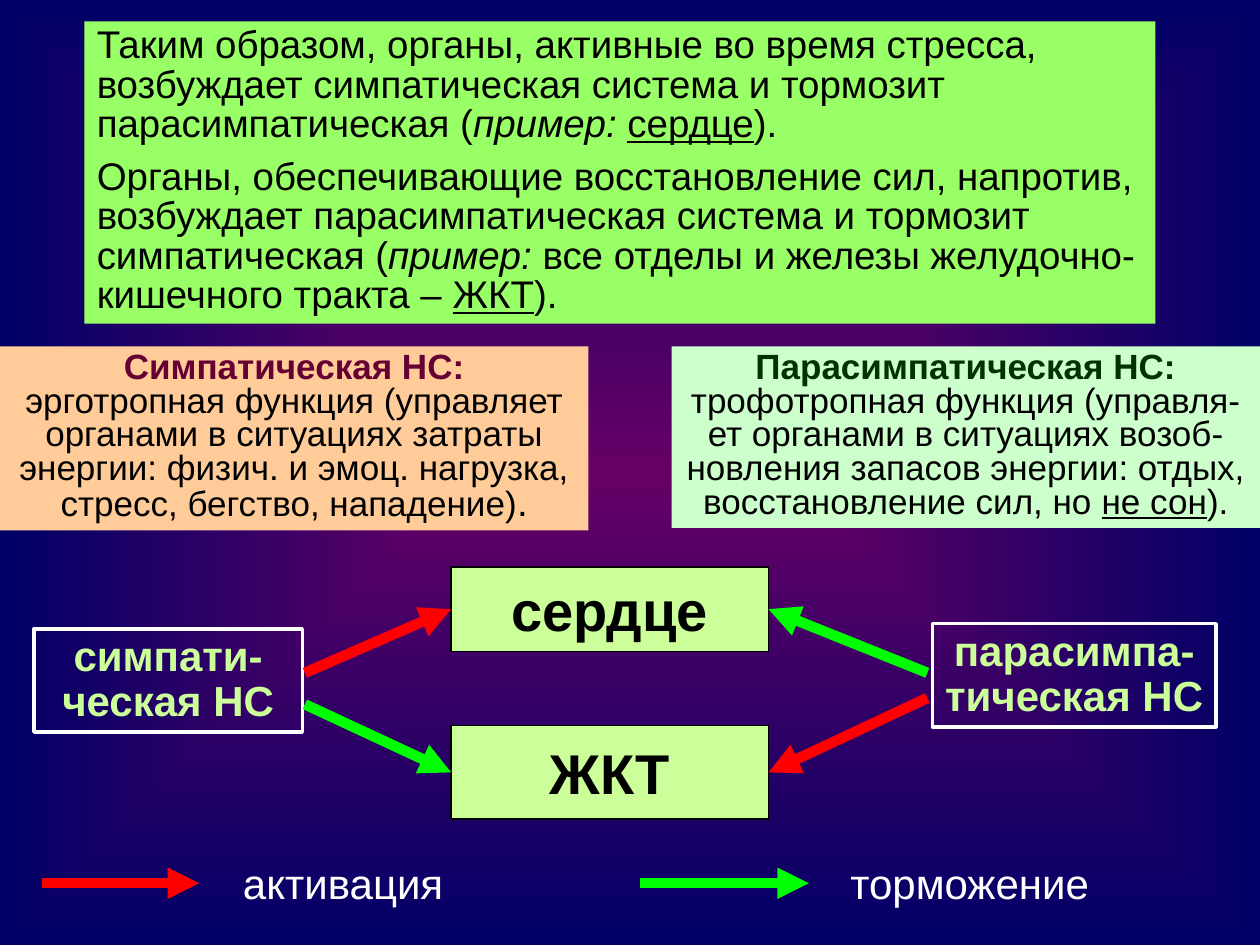
"""Build a slide on how the sympathetic and parasympathetic systems act on organs."""
import pptx
import pptx.util
import pptx.dml.color
import pptx.enum.shapes
import pptx.enum.text
import pptx.oxml
import pptx.oxml.ns
import lxml.etree

Inches, Pt = pptx.util.Inches, pptx.util.Pt
qn = pptx.oxml.ns.qn
ALIGN = pptx.enum.text.PP_ALIGN
ANCHOR = pptx.enum.text.MSO_ANCHOR

HEX = {
    "black": "000000", "white": "FFFFFF", "red": "FF0000", "green": "00FF00",
    "purple": "660066", "navy": "000066", "lime": "CCFF99", "grass": "99FF66",
    "peach": "FFCC99", "mint": "CCFFCC", "wine": "660033", "forest": "003300",
}

SUMMARY = [
    [("Таким образом, органы, активные во время стресса, возбуждает симпатическая "
      "система и тормозит парасимпатическая (", {}), ("пример: ", {"italic": True}),
     ("сердце", {"underline": True}), (").", {})],
    [("Органы, обеспечивающие восстановление сил, напротив, возбуждает "
      "парасимпатическая система и тормозит", {})],
    [("симпатическая (", {}), ("пример:", {"italic": True}),
     (" все отделы и железы желудочно-кишечного тракта – ", {}),
     ("ЖКТ", {"underline": True}), (").", {})],
]
CARDS = [
    (0, 1.46, "peach", "wine", "Cимпатическая НС:",
     [("эрготропная функция (управляет органами в ситуациях затраты энергии: "
       "физич. и эмоц. нагрузка, стресс, бегство, нападение)", {}),
      (".", {"size": Pt(22)})]),
    (5.33, 1.44, "mint", "forest", "Парасимпатическая НС:",
     [("трофотропная функция (управля-ет органами в ситуациях возоб-"
       "новления запасов энергии: отдых, восстановление сил, но ", {}),
      ("не сон", {"underline": True}), (").", {})]),
]
ORGANS = [("сердце", 4.5, 0.67), ("ЖКТ", 5.76, 0.74)]
SYSTEMS = [
    (["симпати-", "ческая НС"], 0.27, 4.99, 2.13),
    (["парасимпа-", "тическая НС"], 7.4, 4.95, 2.25),
]
EFFECTS = [
    (2.42, 5.34, "red", "сердце", 1), (2.42, 5.59, "green", "ЖКТ", 1),
    (7.36, 5.34, "green", "сердце", 3), (7.36, 5.54, "red", "ЖКТ", 3),
]
LEGEND = [("активация", "red", 0.33, 1.58, 1.83),
          ("торможение", "green", 5.08, 6.42, 6.65)]


def rgb(name):
    return pptx.dml.color.RGBColor.from_string(HEX[name])


def add_box(slide, left, top, width, height, fill=None, line=None, weight=0.75):
    box = slide.shapes.add_shape(
        pptx.enum.shapes.MSO_SHAPE.RECTANGLE,
        Inches(left), Inches(top), Inches(width), Inches(height))
    box.shadow.inherit = False
    if fill:
        box.fill.solid()
        box.fill.fore_color.rgb = rgb(fill)
    else:
        box.fill.background()
    if line:
        box.line.color.rgb = rgb(line)
        box.line.width = Pt(weight)
    else:
        box.line.fill.background()
    return box


def write(box, paras, size, color, bold=False, align=ALIGN.CENTER,
          spacing=1.0, anchor=ANCHOR.TOP, wrap=True):
    frame = box.text_frame
    frame.word_wrap = wrap
    frame.vertical_anchor = anchor
    for n, runs in enumerate(paras):
        para = frame.add_paragraph() if n else frame.paragraphs[0]
        para.alignment = align
        para.line_spacing = spacing
        for text, style in runs:
            run = para.add_run()
            run.text = text
            font = run.font
            font.name, font.size, font.bold = "Arial", Pt(size), bold
            font.color.rgb = rgb(color)
            for key, value in style.items():
                setattr(font, key, value)
    return frame


def add_arrow(slide, x1, y1, x2, y2, color):
    arrow = slide.shapes.add_connector(
        pptx.enum.shapes.MSO_CONNECTOR.STRAIGHT,
        Inches(x1), Inches(y1), Inches(x2), Inches(y2))
    arrow.line.color.rgb = rgb(color)
    arrow.line.width = Pt(6)
    props = arrow._element.spPr
    lxml.etree.SubElement(props.find(qn("a:ln")), qn("a:tailEnd"), type="triangle")
    lxml.etree.SubElement(props, qn("a:effectLst"))
    return arrow


def add_backdrop(slide):
    back = add_box(slide, 0, 0, 10, 7.5)
    back.fill.gradient()
    for stop, name in zip(back.fill.gradient_stops, ("purple", "navy")):
        stop.color.rgb = rgb(name)
        stop.position = 0 if name == "purple" else 1
    grad = back._element.spPr.find(qn("a:gradFill"))
    grad.remove(grad.find(qn("a:lin")))
    path = lxml.etree.SubElement(grad, qn("a:path"))
    path.set("path", "rect")
    lxml.etree.SubElement(path, qn("a:fillToRect"),
                          {side: "50000" for side in "ltrb"})


def main():
    deck = pptx.Presentation()
    deck.slide_width, deck.slide_height = Inches(10), Inches(7.5)
    slide = deck.slides.add_slide(deck.slide_layouts[6])
    slide.background.fill.solid()
    slide.background.fill.fore_color.rgb = pptx.dml.color.RGBColor.from_string("CCCCFF")
    add_backdrop(slide)

    organs = {}
    for name, top, height in ORGANS:
        organs[name] = add_box(slide, 3.58, top, 2.52, height, "lime", "black")
        write(organs[name], [[(name, {})]], 32, "black", bold=True,
              anchor=ANCHOR.MIDDLE, wrap=False)

    for lines, left, top, width in SYSTEMS:
        box = add_box(slide, left, top, width, 0.82, line="white", weight=2)
        write(box, [[(text, {})] for text in lines], 24, "lime", bold=True,
              spacing=0.9, wrap=False)

    for x, y, color, name, side in EFFECTS:
        add_arrow(slide, x, y, x, y, color).end_connect(organs[name], side)

    for text, color, start, end, left in LEGEND:
        add_arrow(slide, start, 7.01, end, 7.01, color)
        label = slide.shapes.add_textbox(
            Inches(left), Inches(6.76), Inches(2.11), Inches(0.5))
        write(label, [[(text, {})]], 24, "white", align=ALIGN.LEFT, wrap=False)

    for left, height, fill, color, title, body in CARDS:
        box = add_box(slide, left, 2.75, 4.67, height, fill)
        head = [(title, {"bold": True, "color": None})]
        head[0][1].pop("color")
        frame = write(box, [head, body], 20, "black", spacing=0.8)
        frame.paragraphs[0].runs[0].font.color.rgb = rgb(color)

    box = add_box(slide, 0.67, 0.17, 8.5, 2.4, "grass")
    frame = write(box, SUMMARY, 22, "black", align=ALIGN.LEFT, spacing=0.85)
    frame.paragraphs[1].space_before = Pt(8)

    deck.save("out.pptx")


if __name__ == "__main__":
    main()
